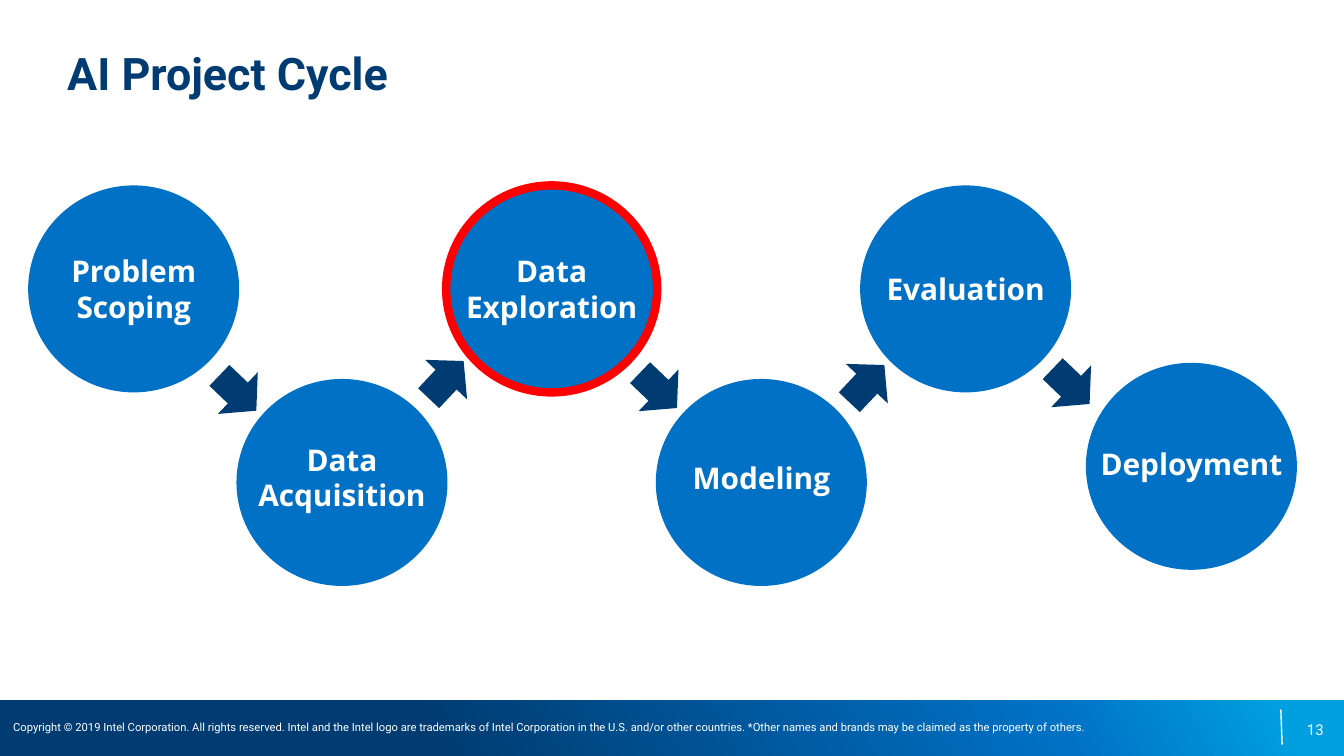
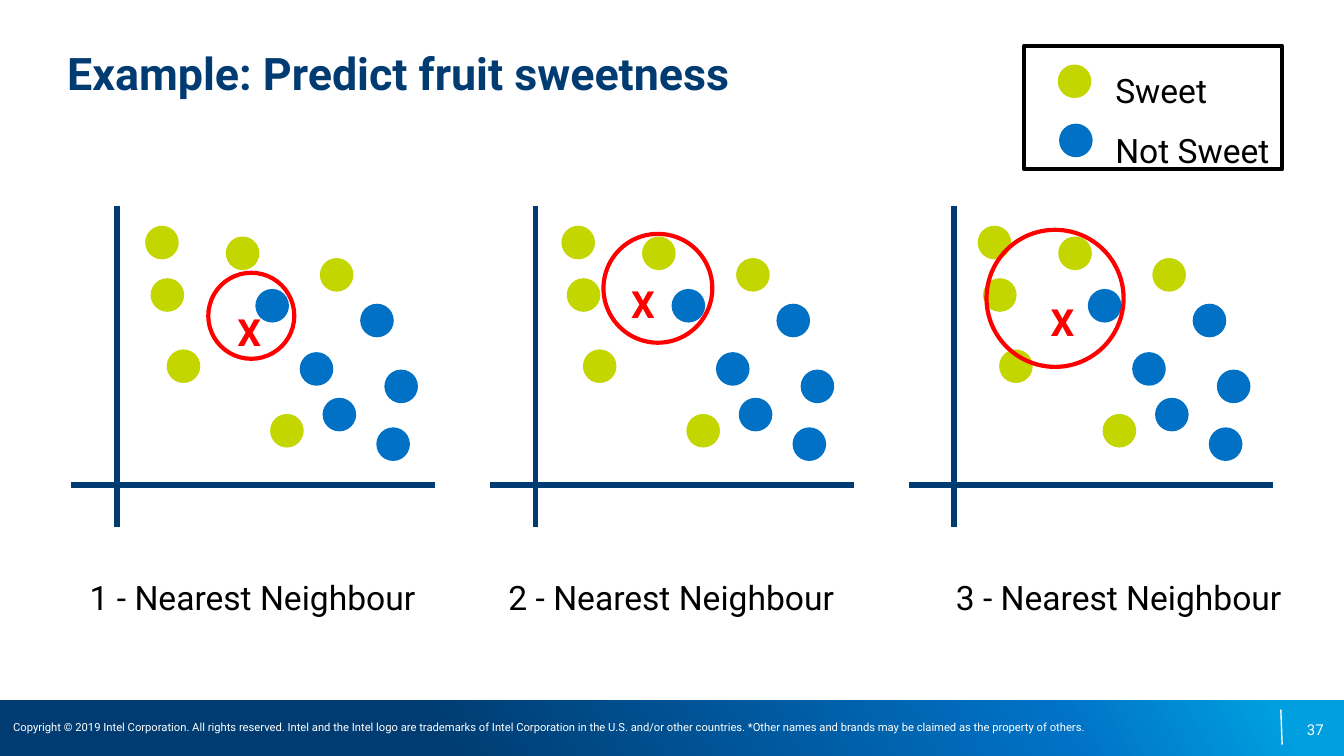
from lxml import etree
from pptx import Presentation
from pptx.dml.color import RGBColor
from pptx.enum.shapes import MSO_CONNECTOR as Connector, MSO_SHAPE as Shape
from pptx.enum.text import MSO_ANCHOR as Anchor, PP_ALIGN as Align
from pptx.oxml import parse_xml
from pptx.oxml.ns import nsdecls, qn
from pptx.util import Inches, Pt

WIDTH = Inches(10)
HEIGHT = WIDTH * 9 // 16
CELL = WIDTH / 100

COLORS = {
    "navy": "003C71", "blue": "0071C5", "sky": "009FDF", "lime": "C3D600",
    "red": "FF0000", "white": "FFFFFF", "black": "000000",
}
BAND_STOPS = [(32, "navy"), (78, "blue"), (95, "sky")]
BAND_ANGLE = 331
COPYRIGHT = (
    "Copyright © 2019 Intel Corporation. All rights reserved. Intel and the Intel logo "
    "are trademarks of Intel Corporation in the U.S. and/or other countries. "
    "*Other names and brands may be claimed as the property of others."
)

DISC_WIDTH, DISC_HEIGHT = 15.7, 15.4
LABEL_HEIGHT = 5.8
STAGES = [
    ("Problem Scoping", 2.1, 13.8, 12.1, 18.6),
    ("Data Acquisition", 17.6, 28.2, 15.6, 32.6),
    ("Data Exploration", 33.2, 13.8, 15.6, 18.6),
    ("Modeling", 48.8, 28.2, 13.8, 32.6),
    ("Evaluation", 64, 13.8, 13.8, 18.6),
    ("Deployment", 80.8, 27, 17.9, 31.6),
]
CURRENT_STAGE = "Data Exploration"
ARROWS = [
    (15.8, 27.1, 43.7), (31.3, 26.1, -46.7), (47.1, 26.9, 43.7),
    (62.6, 26.4, -46.7), (77.8, 26.6, 43.7),
]

DOT = 2.5
AXIS_STEP, DOT_STEP = 31.15, 30.97
FRUITS = {
    "lime": [(10.8, 16.8), (16.8, 17.6), (11.2, 20.7), (23.8, 19.2), (20.1, 30.8), (12.4, 26)],
    "blue": [(28, 31.8), (26.8, 22.6), (24, 29.6), (28.6, 27.5), (22.3, 26.2), (19, 21.5)],
}
NEIGHBOURHOODS = [
    ((15.9, 21.5), (15.5, 20.3, 6.4), (4.3, 29)),
    ((45.2, 19.4), (44.9, 17.4, 8.1), (35.5, 28.9)),
    ((76.4, 20.7), (73.4, 17.1, 10.2), (64.1, 38.3)),
]


def grid(*cells):
    return [round(cell * CELL) for cell in cells]


def color(name):
    return RGBColor.from_string(COLORS[name])


def add_figure(page, kind, left, top, width, height, fill=None, line=None, weight=1.0):
    figure = page.shapes.add_shape(kind, *grid(left, top, width, height))
    figure.shadow.inherit = False
    if fill:
        figure.fill.solid()
        figure.fill.fore_color.rgb = color(fill)
    else:
        figure.fill.background()
    if line:
        figure.line.color.rgb = color(line)
        figure.line.width = Pt(weight)
    else:
        figure.line.fill.background()
    return figure


def add_line(page, start, end, name, weight):
    line = page.shapes.add_connector(Connector.STRAIGHT, *grid(*start, *end))
    line.line.color.rgb = color(name)
    line.line.width = Pt(weight)
    etree.SubElement(line._element.spPr, qn("a:effectLst"))


def add_text(page, lines, left, top, width, height, size, name, font="Roboto", bold=False,
             align=Align.LEFT, anchor=Anchor.MIDDLE, inset=(1, 1), spacing=None):
    box = page.shapes.add_textbox(*grid(left, top, width, height))
    frame = box.text_frame
    frame.word_wrap = True
    frame.vertical_anchor = anchor
    frame.margin_left = frame.margin_right = grid(inset[0])[0]
    frame.margin_top = frame.margin_bottom = grid(inset[1])[0]
    for index, line in enumerate(lines):
        para = frame.add_paragraph() if index else frame.paragraphs[0]
        para.alignment = align
        if spacing:
            para.line_spacing = spacing
        span = para.add_run()
        span.text = line
        span.font.name = font
        span.font.size = Pt(size)
        span.font.bold = bold
        span.font.color.rgb = color(name)


def add_band(page):
    rows = HEIGHT / CELL
    band = add_figure(page, Shape.RECTANGLE, 0, 52.1, 100, rows - 52.1, "navy")
    stops = "".join(
        f'<a:gs pos="{share * 1000}"><a:srgbClr val="{COLORS[name]}"/></a:gs>'
        for share, name in BAND_STOPS
    )
    gradient = parse_xml(
        f'<a:gradFill {nsdecls("a")} rotWithShape="1"><a:gsLst>{stops}</a:gsLst>'
        f'<a:lin ang="{BAND_ANGLE * 60000}" scaled="0"/></a:gradFill>'
    )
    properties = band._element.spPr
    properties.replace(properties.find(qn("a:solidFill")), gradient)


def add_page(deck, title, number):
    page = deck.slides.add_slide(deck.slide_layouts[6])
    add_band(page)
    add_line(page, (95.3, 52.8), (95.4, 55.4), "white", 0.75)
    add_text(page, [str(number)], 75.2, 52.8, 23.3, 3, 8, "white",
             align=Align.RIGHT, inset=(0, 0))
    add_text(page, [title], 5, 3.4, 90, 9.5, 24, "navy", bold=True,
             anchor=Anchor.TOP, inset=(0, 0))
    add_text(page, [COPYRIGHT], 0, 53.1, 88.6, 2, 6, "white", inset=(1, 0.5))
    return page


def add_stage(page, name, left, top, label_width, label_top):
    outline = "red" if name == CURRENT_STAGE else None
    add_figure(page, Shape.OVAL, left, top, DISC_WIDTH, DISC_HEIGHT, "blue", outline, 4.5)
    label_left = left + (DISC_WIDTH - label_width) / 2
    add_text(page, [name], label_left, label_top, label_width, LABEL_HEIGHT, 16, "white",
             font="Open Sans", bold=True, align=Align.CENTER)


def add_dot(page, left, top, name):
    add_figure(page, Shape.OVAL, left, top, DOT, DOT, name)


def add_legend(page):
    add_figure(page, Shape.RECTANGLE, 76.2, 3.4, 19.2, 9.2, "white", "black", 2.25)
    add_dot(page, 78.7, 4.8, "lime")
    add_dot(page, 78.8, 9.2, "blue")
    add_text(page, ["Sweet", "Not Sweet"], 82, 2.7, 23.1, 10.7, 18, "black",
             anchor=Anchor.TOP, spacing=1.5)


def add_neighbour_plot(page, index, mark, ring, caption):
    shift = index * AXIS_STEP
    add_line(page, (8.7 + shift, 15.3), (8.7 + shift, 39.2), "navy", 3)
    add_line(page, (32.4 + shift, 36.1), (5.3 + shift, 36.1), "navy", 3)
    add_text(page, ["X"], *mark, 5.3, 6.4, 20, "red", bold=True, align=Align.CENTER)
    for name, spots in FRUITS.items():
        for left, top in spots:
            add_dot(page, left + index * DOT_STEP, top, name)
    left, top, size = ring
    add_figure(page, Shape.OVAL, left, top, size, size, line="red", weight=2.25)
    left, width = caption
    add_text(page, [f"{index + 1} - Nearest Neighbour"], left, 40.2, width, 6.9, 18, "black",
             align=Align.CENTER, spacing=1.5)


def build_cycle(deck):
    page = add_page(deck, "AI Project Cycle", 13)
    for stage in STAGES:
        add_stage(page, *stage)
    for left, top, angle in ARROWS:
        arrow = add_figure(page, Shape.RIGHT_ARROW, left, top, 3.8, 4.3, "navy")
        arrow.rotation = angle


def build_sweetness(deck):
    page = add_page(deck, "Example: Predict fruit sweetness", 37)
    add_legend(page)
    for index, (mark, ring, caption) in enumerate(NEIGHBOURHOODS):
        add_neighbour_plot(page, index, mark, ring, caption)


def main():
    deck = Presentation()
    deck.slide_width = WIDTH
    deck.slide_height = HEIGHT
    build_cycle(deck)
    build_sweetness(deck)
    deck.save("out.pptx")


if __name__ == "__main__":
    main()
